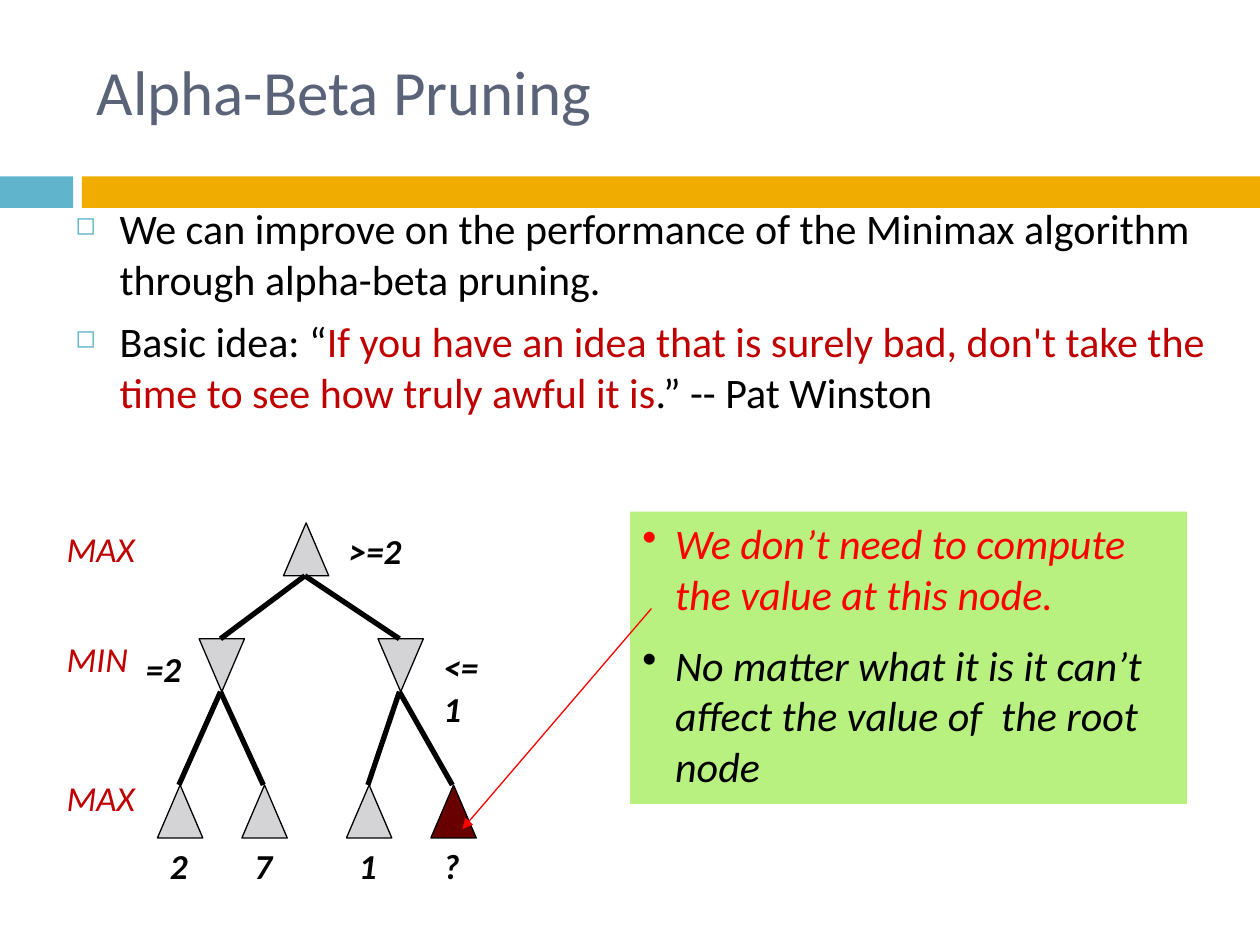
from lxml import etree
from pptx import Presentation
from pptx.dml.color import RGBColor
from pptx.enum import shapes, text
from pptx.oxml import ns
from pptx.util import Inches, Pt

BLACK, RED, GRAY = "000000", "C00000", "D4D4D6"
NODE_W, NODE_H = 0.36, 0.42
ROOT, MIN_ROW, LEAF_ROW = 4.15, 5.07, 6.23


def color(code):
    return RGBColor.from_string(code)


def sub(parent, tag, **attrs):
    return etree.SubElement(parent, ns.qn(tag), attrs)


def box(slide, kind, at, fill, line=None):
    shape = slide.shapes.add_shape(kind, *map(Inches, at))
    shape.shadow.inherit = False
    shape.fill.solid()
    shape.fill.fore_color.rgb = color(fill)
    if line:
        shape.line.color.rgb = color(line)
        shape.line.width = Pt(0.75)
    else:
        shape.line.fill.background()
    return shape


def bullet(para, char, indent, tint=None, size=None):
    props = para._p.get_or_add_pPr()
    props.set("marL", str(Inches(indent)))
    props.set("indent", str(-Inches(indent)))
    if tint:
        sub(sub(props, "a:buClr"), "a:srgbClr", val=tint)
    if size:
        sub(props, "a:buSzPct", val=str(size * 1000))
    sub(props, "a:buChar", char=char)


def write(frame, paras, size=24, tint=BLACK, bold=False, italic=False,
          wrap=True, anchor=text.MSO_ANCHOR.TOP, gap=0, mark=None):
    """Each paragraph is a list of (words, colour) runs or a plain string."""
    frame.word_wrap = wrap
    frame.vertical_anchor = anchor
    for i, runs in enumerate(paras):
        para = frame.paragraphs[0] if i == 0 else frame.add_paragraph()
        para.alignment = text.PP_ALIGN.LEFT
        if i:
            para.space_before = Pt(gap)
        if mark:
            bullet(para, **mark)
        for words, shade in [(runs, tint)] if isinstance(runs, str) else runs:
            run = para.add_run()
            run.text = words
            font = run.font
            font.name, font.size = "Calibri", Pt(size)
            font.bold, font.italic = bold, italic
            font.color.rgb = color(shade)


def label(slide, at, paras, **style):
    area = slide.shapes.add_textbox(*map(Inches, at))
    write(area.text_frame, paras, **style)


def line(slide, start, end, tint=BLACK, width=3, arrow=False):
    link = slide.shapes.add_connector(
        shapes.MSO_CONNECTOR.STRAIGHT, *map(Inches, start + end))
    link.line.color.rgb = color(tint)
    link.line.width = Pt(width)
    if arrow:
        sub(link.line._get_or_add_ln(), "a:tailEnd", type="triangle")
    sub(link._element.spPr, "a:effectLst")


def node(slide, left, top, fill=GRAY, down=False):
    kind = shapes.MSO_SHAPE.ISOSCELES_TRIANGLE
    shape = box(slide, kind, (left, top, NODE_W, NODE_H), fill, BLACK)
    if down:
        shape.rotation = 180


def edge(slide, parent, child):
    """Join the foot of a parent node to the head of a child node."""
    mid = NODE_W / 2 - 0.01
    line(slide, (parent[0] + mid, parent[1] + NODE_H),
         (child[0] + mid, child[1]))


def tree(slide):
    root = (2.25, ROOT)
    node(slide, *root)
    families = {1.58: [(1.25, "2"), (1.92, "7")],
                3: [(2.75, "1"), (3.42, "?")]}
    for left, leaves in families.items():
        branch = (left, MIN_ROW)
        node(slide, *branch, down=True)
        edge(slide, root, branch)
        for x, value in leaves:
            leaf = (x, LEAF_ROW)
            node(slide, *leaf, fill="680000" if value == "?" else GRAY)
            edge(slide, branch, leaf)
            label(slide, (x, 6.65, 0.34, 0.44), [value], size=20,
                  bold=True, italic=True, wrap=False)
    for x, y, wide, words, wrap in [(1.06, 5.09, 0.48, "=2", False),
                                    (2.67, ROOT, 0.62, ">=2", False),
                                    (3.42, MIN_ROW, 0.58, "<=1", True)]:
        label(slide, (x, y, wide, 0.44), [words], size=20, bold=True,
              italic=True, wrap=wrap)
    for y, words in [(4.14, "MAX"), (5.01, "MIN"), (6.11, "MAX")]:
        label(slide, (0.43, y, 0.77, 0.44), [words], size=20, tint=RED,
              italic=True, wrap=False)


def main():
    deck = Presentation()
    deck.slide_width, deck.slide_height = Inches(10), Inches(7.5)
    slide = deck.slides.add_slide(deck.slide_layouts[6])
    rect = shapes.MSO_SHAPE.RECTANGLE
    box(slide, rect, (0, 1.4, 0.58, 0.25), "60B5CC")
    box(slide, rect, (0.65, 1.4, 9.35, 0.25), "F0AD00")
    label(slide, (0.67, 0.21, 8.5, 1.02), ["Alpha-Beta Pruning"], size=36,
          tint="5A6378", anchor=text.MSO_ANCHOR.MIDDLE)
    label(slide, (0.5, 1.56, 9.29, 1.91), [
        "We can improve on the performance of the Minimax algorithm "
        "through alpha-beta pruning.",
        [("Basic idea: “", BLACK),
         ("If you have an idea that is surely bad, don't take the time "
          "to see how truly awful it is", RED),
         (".” -- Pat Winston", BLACK)],
    ], gap=7, mark=dict(char="◻", indent=0.35, tint="60B5CC", size=60))
    tree(slide)
    note = box(slide, rect, (5, 4.06, 4.42, 2.32), "B8F17F")
    write(note.text_frame, [
        [("We don’t need to compute the value at this node.", "FF0000")],
        "No matter what it is it can’t affect the value of  the root node",
    ], italic=True, gap=12, mark=dict(char="•", indent=0.26))
    line(slide, (5.17, 4.83), (3.67, 6.58), "FF0000", 0.75, arrow=True)
    deck.save("out.pptx")


if __name__ == "__main__":
    main()
